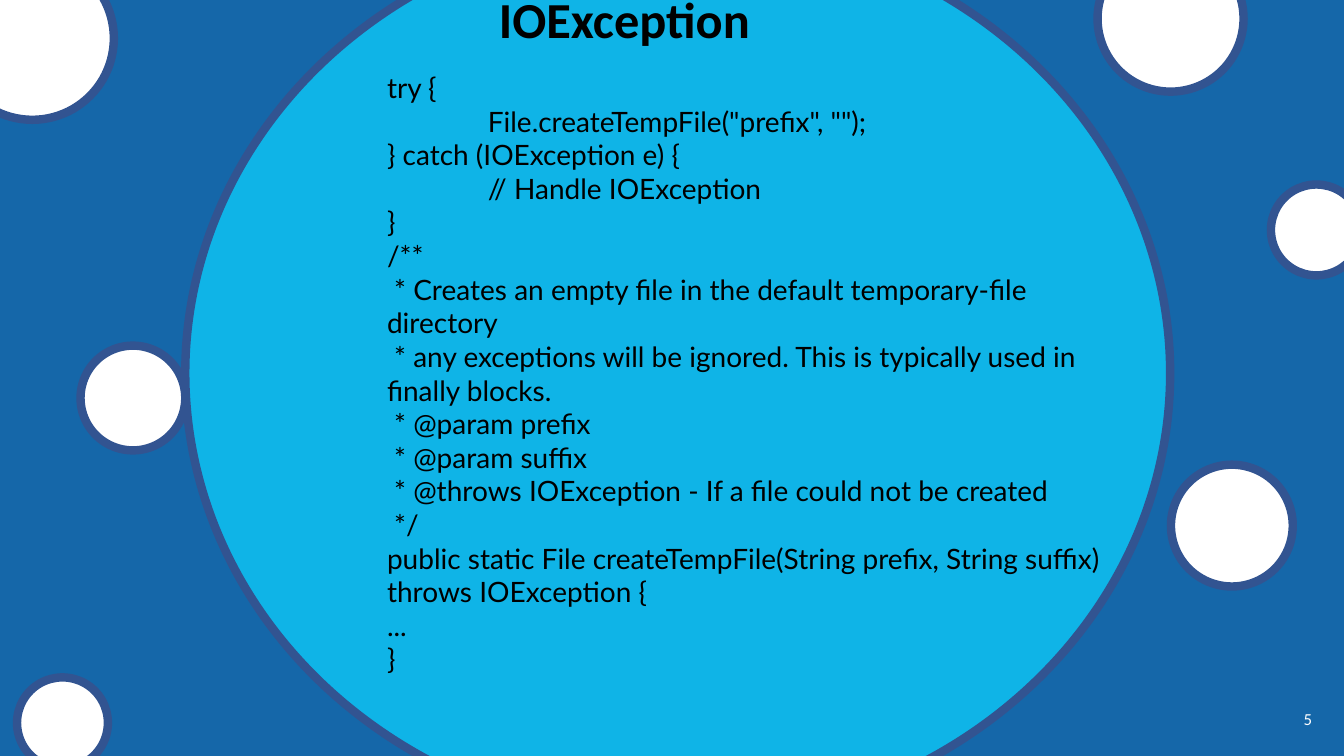
from pptx import Presentation
from pptx import util as u
from pptx.dml.color import RGBColor
from pptx.enum import shapes, text
from pptx.oxml import parse_xml
from pptx.oxml.ns import nsdecls

BLUE = RGBColor(0x15, 0x67, 0xA9)
CYAN = RGBColor(0x0F, 0xB4, 0xE7)
OUTLINE = RGBColor(0x32, 0x54, 0x91)
WHITE = RGBColor(0xFF, 0xFF, 0xFF)
BLACK = RGBColor(0, 0, 0)

# Boxes are left, top, width, height in centimetres.
MAIN_BUBBLE = (4.67, -1.9, 24.82, 22.61)
TITLE_BOX = (12.32, -0.43, 6.91, 1.8)
CODE_BOX = (9.5, 1.65, 18.57, 17.35)
NUMBER_BOX = (25.7, 17.6, 7.62, 1.02)
# Left, top and diameter of each small bubble.
SMALL_BUBBLES = [
    (29.51, 11.71, 3.07),
    (0.43, 17.07, 2.29),
    (-1.24, -1.09, 4.11),
    (27.66, -1.37, 3.68),
    (32.03, 4.65, 2.29),
    (2.03, 8.71, 2.64),
]

CODE = """try {
\tFile.createTempFile("prefix", "");
} catch (IOException e) {
\t// Handle IOException
}
/**
 * Creates an empty file in the default temporary-file directory
 * any exceptions will be ignored. This is typically used in finally blocks.
 * @param prefix
 * @param suffix
 * @throws IOException - If a file could not be created
 */
public static File createTempFile(String prefix, String suffix)
throws IOException {
...
}"""


def to_cm(box):
    return [u.Cm(length) for length in box]


def add_bubble(slide, box, color):
    bubble = slide.shapes.add_shape(shapes.MSO_SHAPE.OVAL, *to_cm(box))
    bubble.shadow.inherit = False
    bubble.fill.solid()
    bubble.fill.fore_color.rgb = color
    bubble.line.color.rgb = OUTLINE
    bubble.line.width = u.Pt(6)


def add_bubbles(slide):
    add_bubble(slide, MAIN_BUBBLE, CYAN)
    for left, top, diameter in SMALL_BUBBLES:
        add_bubble(slide, (left, top, diameter, diameter), WHITE)


def place(shape, box):
    shape.left, shape.top, shape.width, shape.height = to_cm(box)


def bring_to_front(slide, shape):
    slide.shapes.element.append(shape.element)


def write(shape, content, font_name, size, color, alignment, anchor, wrap=True):
    """Fill the shape with one paragraph per line, all in the same style."""
    frame = shape.text_frame
    frame.text = content
    frame.word_wrap = wrap
    frame.auto_size = text.MSO_AUTO_SIZE.NONE
    frame.vertical_anchor = anchor
    for paragraph in frame.paragraphs:
        paragraph.alignment = alignment
        paragraph.space_before = u.Pt(0)
        paragraph.font.name = font_name
        paragraph.font.size = u.Pt(size)
        paragraph.font.color.rgb = color


def add_title(slide, box):
    title = slide.shapes.title
    place(title, box)
    write(title, "IOException", "Calibri", 36, BLACK,
          text.PP_ALIGN.LEFT, text.MSO_ANCHOR.TOP, wrap=False)
    title.text_frame.paragraphs[0].font.bold = True
    bring_to_front(slide, title)


def add_code(slide, box):
    code = slide.placeholders[1]
    place(code, box)
    write(code, CODE, "Lato", 20, BLACK, text.PP_ALIGN.LEFT, text.MSO_ANCHOR.TOP)
    for paragraph in code.text_frame.paragraphs:
        properties = paragraph._p.get_or_add_pPr()
        properties.set("marL", "0")
        properties.set("indent", "0")
        properties.set("defTabSz", str(u.Cm(2.54)))
        properties.insert_element_before(
            parse_xml(f"<a:buNone {nsdecls('a')}/>"), "a:tabLst", "a:defRPr", "a:extLst")
    bring_to_front(slide, code)


def add_slide_number(slide, box):
    number = slide.shapes.add_textbox(*to_cm(box))
    write(number, "5", "Calibri", 12, WHITE,
          text.PP_ALIGN.RIGHT, text.MSO_ANCHOR.MIDDLE)


def add_code_slide(presentation):
    slide = presentation.slides.add_slide(presentation.slide_layouts[1])
    slide.background.fill.solid()
    slide.background.fill.fore_color.rgb = BLUE
    add_bubbles(slide)
    add_code(slide, CODE_BOX)
    add_slide_number(slide, NUMBER_BOX)
    add_title(slide, TITLE_BOX)


def main():
    presentation = Presentation()
    presentation.slide_width = u.Cm(33.87)
    presentation.slide_height = u.Cm(19.05)
    add_code_slide(presentation)
    presentation.save("out.pptx")


if __name__ == "__main__":
    main()
